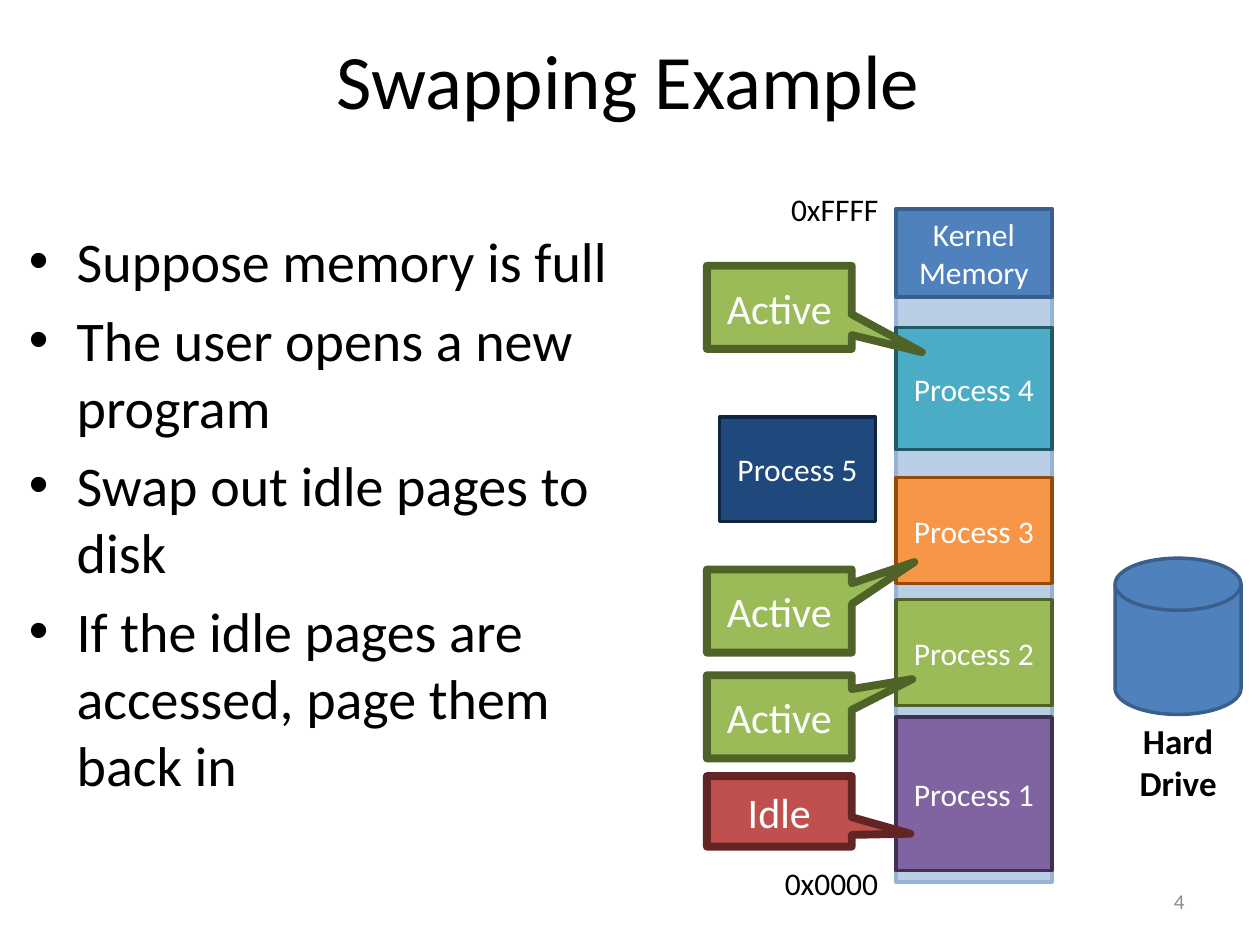
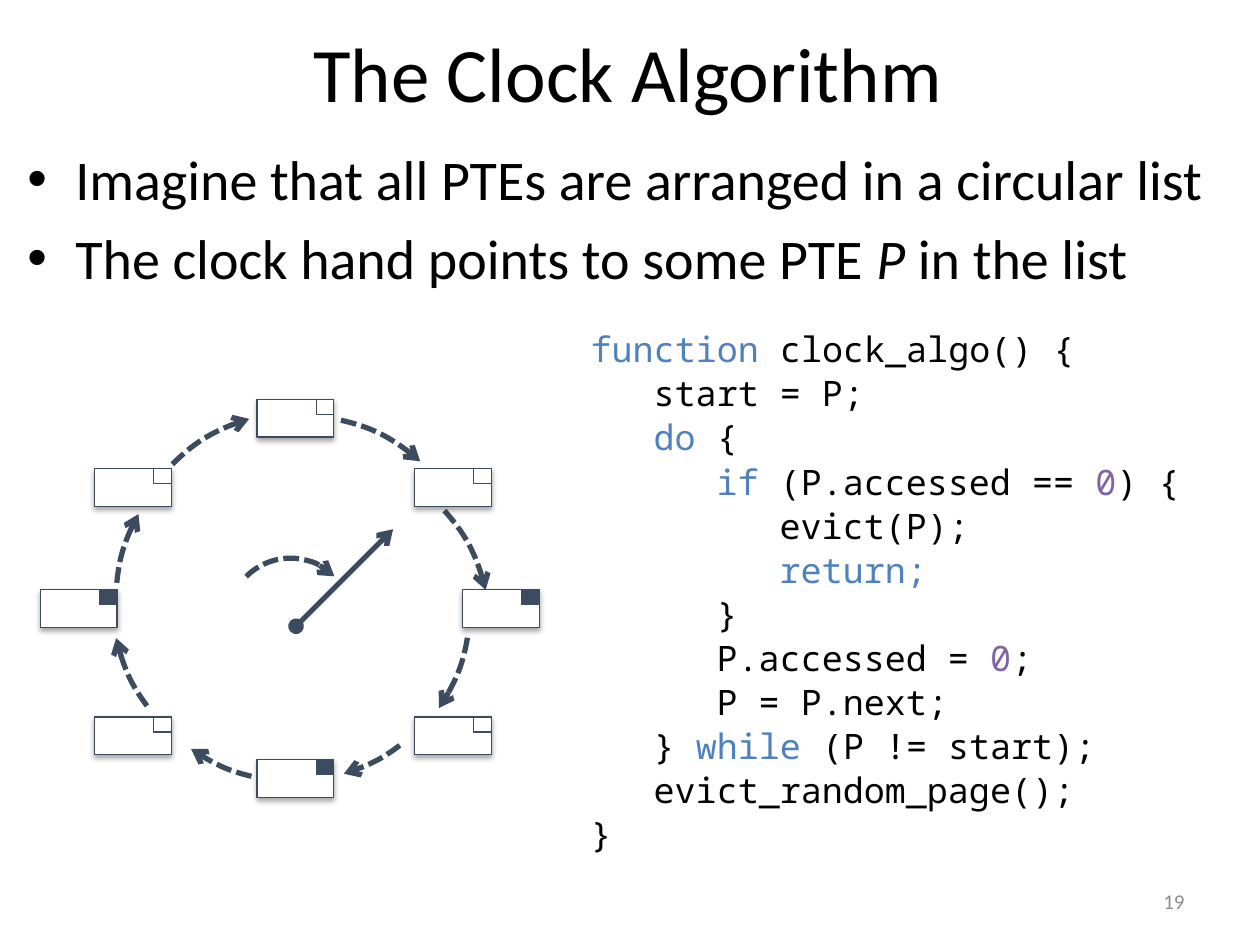
from lxml import etree
from pptx import Presentation
from pptx.dml.color import RGBColor
from pptx.enum.dml import MSO_LINE
from pptx.enum.shapes import MSO_CONNECTOR, MSO_SHAPE
from pptx.enum.text import MSO_ANCHOR, PP_ALIGN
from pptx.oxml.ns import qn
from pptx.util import Inches, Pt

RECT, ARC = MSO_SHAPE.RECTANGLE, MSO_SHAPE.ARC
CALLOUT = MSO_SHAPE.RECTANGULAR_CALLOUT
DRUM = MSO_SHAPE.FLOWCHART_DIRECT_ACCESS_STORAGE
STRAIGHT, DASH = MSO_CONNECTOR.STRAIGHT, MSO_LINE.SQUARE_DOT
TOP, MIDDLE = MSO_ANCHOR.TOP, MSO_ANCHOR.MIDDLE
LEFT, CENTER, RIGHT = PP_ALIGN.LEFT, PP_ALIGN.CENTER, PP_ALIGN.RIGHT

# Shared colours and text formats
BLACK, WHITE, GREY = "000000", "FFFFFF", "8C8C8C"
BLUE, NAVY, PURPLE, SLATE = "4F81BD", "3A5F8C", "8064A2", "3C4B5E"
GREEN, MOSS = "9BBB59", "4F6228"


def style(size, hue=BLACK, name="Calibri", **more):
    return dict(size=Pt(size), name=name, color=hue, **more)


TITLE, BODY, FOOT = style(44), style(32), style(12, GREY)
LABEL, DISK = style(18), style(20, bold=True)
BLOCK, STATE = style(18, WHITE), style(24, WHITE)
CODE = style(20, name="Noto Sans Mono")


def rgb(code):
    return RGBColor.from_string(code)


def add_run(para, words, form):
    run = para.add_run()
    run.text = words
    for key, value in form.items():
        if key == "color":
            run.font.color.rgb = rgb(value)
        else:
            setattr(run.font, key, value)


def write(shape, lines, form, align=LEFT, anchor=TOP, wrap=True):
    """Each line is a string or a list of (words, format changes)."""
    frame = shape.text_frame
    frame.word_wrap, frame.vertical_anchor = wrap, anchor
    for i, line in enumerate(lines):
        para = frame.paragraphs[0] if i == 0 else frame.add_paragraph()
        para.alignment = align
        for words, extra in [(line, {})] if isinstance(line, str) else line:
            add_run(para, words, {**form, **extra})
    return frame.paragraphs


def add_text(slide, box, lines, form, **place):
    shape = slide.shapes.add_textbox(*map(Inches, box))
    return write(shape, lines, form, **place)


def add_form(slide, kind, box, fill, edge, width=2, turn=0, adjust=()):
    shape = slide.shapes.add_shape(kind, *map(Inches, box))
    shape.shadow.inherit = False
    shape.rotation = turn
    for i, value in enumerate(adjust):
        shape.adjustments[i] = value
    if fill:
        shape.fill.solid()
        shape.fill.fore_color.rgb = rgb(fill)
    else:
        shape.fill.background()
    shape.line.color.rgb = rgb(edge)
    shape.line.width = Pt(width)
    return shape


def add_tips(shape, **ends):
    for side in ("headEnd", "tailEnd"):
        if side in ends:
            tip = etree.SubElement(shape.line._get_or_add_ln(), qn("a:" + side))
            tip.set("type", ends[side])


# Parts found on both slides
def add_frame(slide, title, depth, number):
    add_text(slide, (0.05, 0, 9.87, depth), [title], TITLE,
             align=CENTER, anchor=MIDDLE)
    add_text(slide, (7.17, 6.95, 2.33, 0.4), [number], FOOT,
             align=RIGHT, anchor=MIDDLE)


def add_list(slide, box, lines):
    for para in add_text(slide, box, lines, BODY):
        para.space_before = Pt(6.4)
        props = para._p.get_or_add_pPr()
        props.set("marL", str(Inches(0.38)))
        props.set("indent", str(-Inches(0.38)))
        etree.SubElement(props, qn("a:buFont")).set("typeface", "Arial")
        etree.SubElement(props, qn("a:buChar")).set("char", "•")


# Swapping slide
def add_memory(slide, box):
    left, top, width, height = box
    add_form(slide, RECT, box, "B9CDE5", "95B3D7")
    blocks = [  # name, offset from the column, height, fill, edge
        ("Kernel Memory", 0, 0, 0.7, BLUE, NAVY),
        ("Process 1", 0, 4.03, 1.22, PURPLE, "403152"),
        ("Process 2", 0, 3.1, 0.84, GREEN, MOSS),
        ("Process 3", 0, 2.13, 0.84, "F79646", "984807"),
        ("Process 4", 0, 0.94, 0.97, "4BACC6", "215968"),
        ("Process 5", -1.4, 1.65, 0.83, "1F497D", "0F243E"),
    ]
    for name, dx, dy, tall, fill, edge in blocks:
        shape = add_form(slide, RECT, (left + dx, top + dy, width, tall),
                         fill, edge)
        write(shape, [name], BLOCK, align=CENTER, anchor=MIDDLE)
    # Address limits
    for name, dx, dy, wide in (("0x0000", -0.98, 5.15, 0.95),
                               ("0xFFFF", -0.93, -0.2, 0.9)):
        add_text(slide, (left + dx, top + dy, wide, 0.4), [name], LABEL,
                 wrap=False)


def add_states(slide, left, top):
    live, idle = ("Active", 0.66, GREEN, MOSS), ("Idle", 0.56, "C0504D", "632523")
    for dy, point, (name, tall, fill, edge) in (
            (0, (0.984, 0.539), live), (2.41, (0.932, -0.589), live),
            (3.25, (0.919, -0.454), live), (4.05, (0.904, 0.317), idle)):
        shape = add_form(slide, CALLOUT, (left, top + dy, 1.15, tall),
                         fill, edge, 4.5, adjust=point)
        write(shape, [name], STATE, align=CENTER, anchor=MIDDLE)


def add_drive(slide, left, top):
    add_form(slide, DRUM, (left, top, 1.24, 1), BLUE, NAVY, turn=270)
    add_text(slide, (left + 0.21, top + 1.11, 0.82, 0.77), ["Hard", "Drive"],
             DISK, align=CENTER, wrap=False)


def swap_slide(slide):
    add_drive(slide, 8.73, 4.55)
    add_frame(slide, "Swapping Example", 1.25, "4")
    add_list(slide, (0.13, 1.75, 5.19, 4.95), [
        "Suppose memory is full",
        "The user opens a new program",
        "Swap out idle pages to disk",
        "If the idle pages are accessed, page them back in",
    ])
    add_memory(slide, (7.11, 1.66, 1.24, 5.34))
    add_states(slide, 5.61, 2.11)


# Clock slide
def add_arc(slide, box, turn, adjust=()):
    arc = add_form(slide, ARC, box, None, SLATE, 3, turn, adjust)
    arc.line.dash_style = DASH
    add_tips(arc, tailEnd="arrow")


def add_page(slide, left, top, used):
    card = add_form(slide, RECT, (left, top, 0.61, 0.3), WHITE, SLATE, 0.75)
    effects = card._element.spPr.find(qn("a:effectLst"))
    shade = etree.SubElement(effects, qn("a:outerShdw"), blurRad=str(Pt(3.1)),
                             dist=str(Pt(1.8)), dir="5400000", rotWithShape="0")
    tone = etree.SubElement(shade, qn("a:srgbClr"), val=BLACK)
    etree.SubElement(tone, qn("a:alpha"), val="35000")
    add_form(slide, RECT, (left + 0.47, top, 0.14, 0.12),
             SLATE if used else WHITE, SLATE, 0.75)


def add_clock(slide, left, top):
    # Arcs between neighbours: offset, rotation, start and end
    for dx, dy, turn, start, end in (
            (0.57, 0.19, 228.5, 164.96, 179.53), (0.64, 0.1, 314.8, 162, 179.53),
            (0.6, 0.22, 142.9, 162, 174.24), (0.6, 0.22, 185.9, 166.6, 179.53),
            (0.6, 0.19, 270, 165.43, 179.53), (0.6, 0.25, 99.7, 162, 176.84),
            (0.67, 0.13, 12.8, 162, 179.53), (0.76, 0.42, 47.9, 162, 179.53)):
        add_arc(slide, (left + dx, top + dy, 2.81, 2.81), turn, (start, end))
    # Page entries, clockwise from the top
    for dx, dy, used in (
            (1.72, 0, False), (2.97, 0.55, False), (3.35, 1.51, True),
            (2.97, 2.52, False), (1.72, 2.86, True), (0.43, 2.52, False),
            (0, 1.51, True), (0.43, 0.55, False)):
        add_page(slide, left + dx, top + dy, used)
    # Hand and its direction
    ends = (left + 2.03, top + 1.8, left + 2.8, top + 1.03)
    hand = slide.shapes.add_connector(STRAIGHT, *map(Inches, ends))
    hand.line.color.rgb, hand.line.width = rgb(SLATE), Pt(3)
    add_tips(hand, headEnd="oval", tailEnd="arrow")
    etree.SubElement(hand._element.spPr, qn("a:effectLst"))
    add_arc(slide, (left + 1.49, top + 1.26, 0.99, 0.99), 314.8)


def add_code(slide, box):
    word = lambda text: (text, {"color": BLUE})
    digit = lambda text: (text, {"color": PURPLE})
    plain = lambda text: (text, {})
    lines = [
        [word("function "), plain("clock_algo() {")],
        "\tstart = P;",
        [plain("\t"), word("do"), plain(" {")],
        [plain("\t\t"), word("if"), plain(" (P.accessed == "), digit("0"),
         plain(") {")],
        "\t\t\tevict(P);",
        [plain("\t\t\t"), word("return;")],
        "\t\t}",
        [plain("\t\tP.accessed = "), digit("0"), plain(";")],
        "\t\tP = P.next;",
        [plain("\t} "), word("while"), plain(" (P != start);")],
        "\tevict_random_page();",
        "}",
    ]
    for para in add_text(slide, box, lines, CODE):
        para.line_spacing, para.space_before = 0.9, Pt(3.6)
        stops = etree.SubElement(para._p.get_or_add_pPr(), qn("a:tabLst"))
        for step in (1, 2, 3):
            etree.SubElement(stops, qn("a:tab"), pos=str(Inches(step / 2)),
                             algn="l")


def clock_slide(slide):
    add_frame(slide, "The Clock Algorithm", 1.14, "19")
    add_list(slide, (0.12, 1.1, 9.63, 1.49), [
        "Imagine that all PTEs are arranged in a circular list",
        [("The clock hand points to some PTE ", {}), ("P ", {"italic": True}),
         ("in the list", {})],
    ])
    add_clock(slide, 0.32, 3.17)
    add_code(slide, (4.59, 2.59, 5.24, 4.83))


def main():
    deck = Presentation()
    deck.slide_width, deck.slide_height = Inches(10), Inches(7.5)
    for build in (swap_slide, clock_slide):
        build(deck.slides.add_slide(deck.slide_layouts[6]))
    deck.save("out.pptx")


if __name__ == "__main__":
    main()
